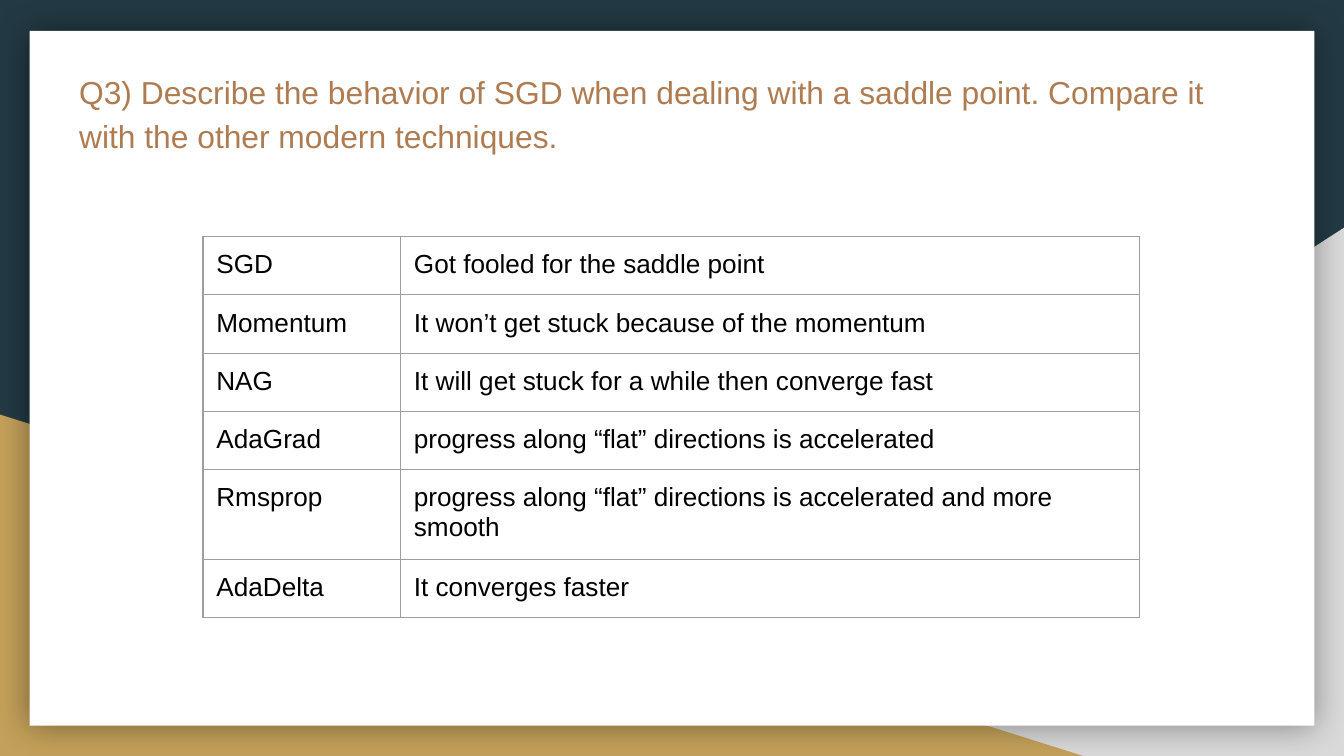
from lxml.etree import SubElement
from pptx import Presentation
from pptx.dml.color import RGBColor
from pptx.enum.shapes import MSO_SHAPE
from pptx.enum.text import MSO_ANCHOR
from pptx.oxml.ns import qn
from pptx.util import Inches, Pt

COLORS = {
    "navy": "233A44",
    "gray": "D9D9D9",
    "gold": "C4A15A",
    "white": "FFFFFF",
    "title": "AF7B51",
    "text": "000000",
    "border": "9E9E9E",
}
FONT = "Arial"
INSET = Inches(0.1)
SLIDE_WIDTH = 10
SLIDE_HEIGHT = SLIDE_WIDTH * 9 / 16
TITLE = (
    "Q3) Describe the behavior of SGD when dealing with a saddle point. "
    "Compare it with the other modern techniques."
)
TECHNIQUES = [
    ("SGD", "Got fooled for the saddle point"),
    ("Momentum", "It won’t get stuck because of the momentum"),
    ("NAG", "It will get stuck for a while then converge fast"),
    ("AdaGrad", "progress along “flat” directions is accelerated"),
    ("Rmsprop", "progress along “flat” directions is accelerated and more smooth"),
    ("AdaDelta", "It converges faster"),
]


def rgb(name):
    return RGBColor.from_string(COLORS[name])


def style_font(p, size, color):
    for r in p.runs:
        r.font.name = FONT
        r.font.size = Pt(size)
        r.font.color.rgb = rgb(color)


def set_insets(target):
    target.margin_left = target.margin_right = INSET
    target.margin_top = target.margin_bottom = INSET


def add_panel(slide, kind, box, color):
    sp = slide.shapes.add_shape(kind, *map(Inches, box))
    sp.shadow.inherit = False
    sp.fill.solid()
    sp.fill.fore_color.rgb = rgb(color)
    sp.line.fill.background()
    return sp


def add_glow_shadow(sp, blur, alpha):
    effects = sp._element.spPr.find(qn("a:effectLst"))
    shadow = SubElement(effects, qn("a:outerShdw"), blurRad=str(Pt(blur)),
                        dist="0", dir="0", algn="ctr", rotWithShape="0")
    color = SubElement(shadow, qn("a:srgbClr"), val=COLORS["text"])
    SubElement(color, qn("a:alpha"), val=str(alpha * 1000))


def add_backdrop(slide, box):
    left, top, width, height = box
    right, bottom = left + width, top + height
    slide.background.fill.solid()
    slide.background.fill.fore_color.rgb = rgb("navy")

    gray = add_panel(slide, MSO_SHAPE.RIGHT_TRIANGLE,
                     (right - 6.08, bottom - 3.93, 6.08, 3.93), "gray")
    gray._element.spPr.find(qn("a:xfrm")).set("flipH", "1")
    add_panel(slide, MSO_SHAPE.RIGHT_TRIANGLE,
              (left, bottom - 2.54, 8.06, 2.54), "gold")
    card = add_panel(slide, MSO_SHAPE.RECTANGLE,
                     (left + 0.22, top + 0.23, width - 0.44, 5.17), "white")
    add_glow_shadow(card, 18, 40)


def add_title(slide, box):
    tf = slide.shapes.add_textbox(*map(Inches, box)).text_frame
    tf.word_wrap = True
    tf.vertical_anchor = MSO_ANCHOR.TOP
    set_insets(tf)
    p = tf.paragraphs[0]
    p.text = TITLE
    p.line_spacing = 1.15
    p.space_before = Pt(16)
    p.space_after = Pt(4)
    style_font(p, 17, "title")


def add_borders(cell):
    tc_pr = cell._tc.get_or_add_tcPr()
    for i, side in enumerate(("lnL", "lnR", "lnT", "lnB")):
        ln = tc_pr.makeelement(qn(f"a:{side}"), {"w": str(Pt(0.75))})
        fill = SubElement(ln, qn("a:solidFill"))
        SubElement(fill, qn("a:srgbClr"), val=COLORS["border"])
        tc_pr.insert(i, ln)


def add_technique_table(slide, box, name_width):
    left, top, width, height = box
    table = slide.shapes.add_table(len(TECHNIQUES), 2, *map(Inches, box)).table
    table.first_row = False
    table.horz_banding = False
    table.columns[0].width = Inches(name_width)
    table.columns[1].width = Inches(width - name_width)
    for row, texts in zip(table.rows, TECHNIQUES):
        row.height = Inches(height / len(TECHNIQUES))
        for cell, text in zip(row.cells, texts):
            cell.text_frame.text = text
            set_insets(cell)
            cell.fill.background()
            style_font(cell.text_frame.paragraphs[0], 14, "text")
            add_borders(cell)


def main():
    prs = Presentation()
    prs.slide_width, prs.slide_height = Inches(SLIDE_WIDTH), Inches(SLIDE_HEIGHT)
    slide = prs.slides.add_slide(prs.slide_layouts[6])
    add_backdrop(slide, (0, 0, SLIDE_WIDTH, SLIDE_HEIGHT))
    add_title(slide, (0.49, 0.4, 8.91, 1.04))
    add_technique_table(slide, (1.51, 1.76, 6.97, 2.5), 1.47)
    prs.save("out.pptx")


if __name__ == "__main__":
    main()
